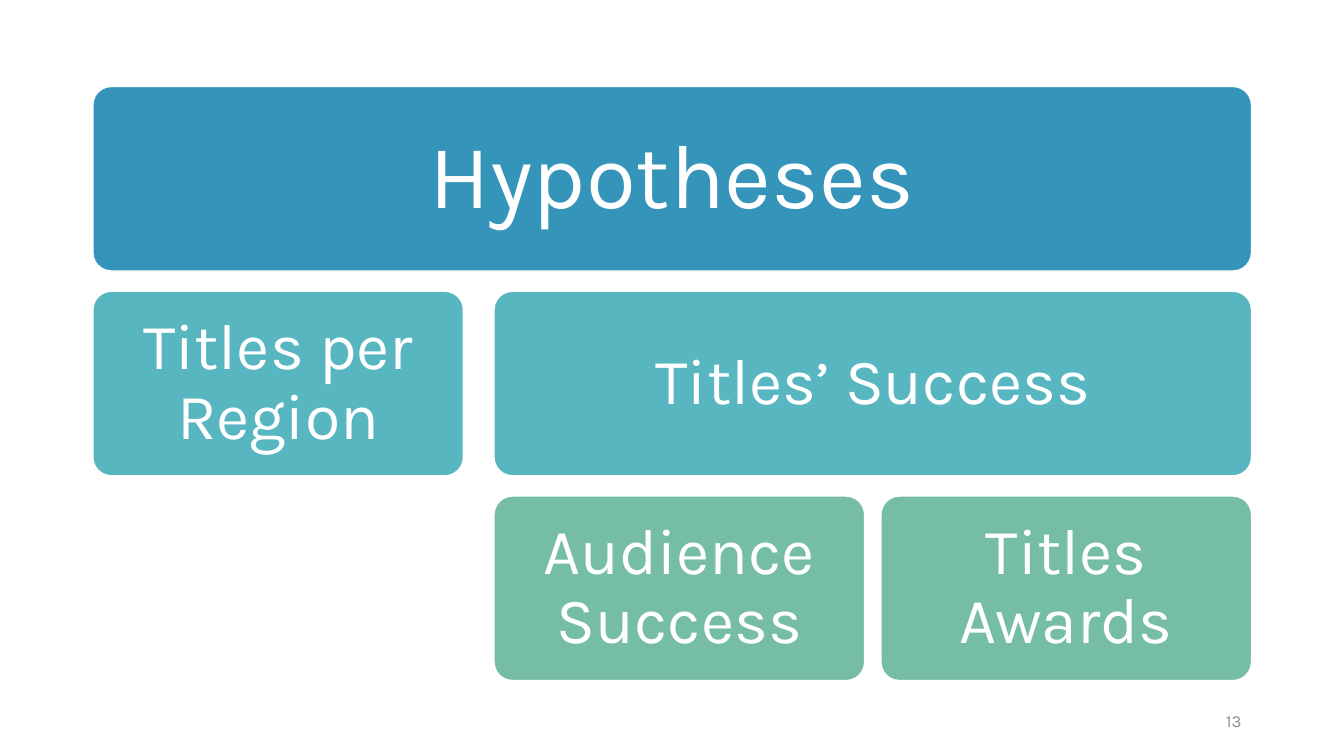
"""Builds the slide showing the hierarchy of hypotheses."""
import dataclasses

import pptx
import pptx.dml.color
import pptx.enum.shapes
import pptx.enum.text
import pptx.util

Cm = pptx.util.Cm
ALIGN = pptx.enum.text.PP_ALIGN


@dataclasses.dataclass(frozen=True)
class Theme:
    font: str = "Karla"
    white: str = "FFFFFF"
    grey: str = "8C8C8C"
    top: str = "3494BA"
    middle: str = "58B6C0"
    bottom: str = "75BDA7"
    title_size: int = 65
    box_size: int = 46
    number_size: int = 12


class Deck:
    def __init__(self, theme):
        self.theme = theme
        self.prs = pptx.Presentation()
        self.prs.slide_width, self.prs.slide_height = Cm(33.87), Cm(19.05)
        self.s = self.prs.slides.add_slide(self.prs.slide_layouts[5])

    def rgb(self, value):
        return pptx.dml.color.RGBColor.from_string(value)

    def set_text(self, sp, text, size, color, inset, align=ALIGN.CENTER, spacing=0.9):
        tf = sp.text_frame
        frame_format = {
            "word_wrap": True,
            "auto_size": pptx.enum.text.MSO_AUTO_SIZE.NONE,
            "vertical_anchor": pptx.enum.text.MSO_ANCHOR.MIDDLE,
            "margin_left": inset,
            "margin_right": inset,
            "margin_top": inset,
            "margin_bottom": inset,
        }
        for name, value in frame_format.items():
            setattr(tf, name, value)
        p = tf.paragraphs[0]
        p.alignment, p.line_spacing = align, spacing
        r = p.add_run()
        r.text = text
        font_format = {"name": self.theme.font, "size": pptx.util.Pt(size), "bold": False}
        for name, value in font_format.items():
            setattr(r.font, name, value)
        r.font.color.rgb = self.rgb(color)

    def box(self, x, y, w, h, fill, text=None):
        sp = self.s.shapes.add_shape(
            pptx.enum.shapes.MSO_SHAPE.ROUNDED_RECTANGLE, Cm(x), Cm(y), Cm(w), Cm(h))
        sp.adjustments[0] = 0.1
        sp.shadow.inherit = False
        sp.fill.solid()
        sp.fill.fore_color.rgb = self.rgb(fill)
        sp.line.color.rgb = self.rgb(self.theme.white)
        sp.line.width = pptx.util.Pt(1)
        if text:
            self.set_text(sp, text, self.theme.box_size, self.theme.white, Cm(0.48))

    def title(self, x, y, w, h, text):
        sp = self.s.shapes.title
        place = {"left": Cm(x), "top": Cm(y), "width": Cm(w), "height": Cm(h)}
        for name, value in place.items():
            setattr(sp, name, value)
        self.s.shapes._spTree.append(sp._element)
        self.set_text(sp, text, self.theme.title_size, self.theme.white, Cm(0.69))

    def number(self, x, y, w, h, text):
        sp = self.s.shapes.add_textbox(Cm(x), Cm(y), Cm(w), Cm(h))
        self.set_text(sp, text, self.theme.number_size, self.theme.grey, Cm(0.25),
                      ALIGN.RIGHT, 1.0)


def main():
    theme = Theme()
    deck = Deck(theme)
    left, top, width, height, pitch = 2.34, 2.18, 29.2, 4.65, 5.16
    column, outer_gap, inner_gap, inset = 9.34, 0.77, 0.41, 0.14
    second = left + column + outer_gap
    third = second + column + inner_gap
    pair = 2 * column + inner_gap

    deck.box(left, top, width, height, theme.top)
    deck.title(left + inset, top + inset, width - 2 * inset, height - 2 * inset, "Hypotheses")
    boxes = [
        (left, 1, column, theme.middle, "Titles per Region"),
        (second, 1, pair, theme.middle, "Titles’ Success"),
        (second, 2, column, theme.bottom, "Audience Success"),
        (third, 2, column, theme.bottom, "Titles Awards"),
    ]
    for x, row, w, fill, text in boxes:
        deck.box(x, top + row * pitch, w, height, fill, text)
    deck.number(23.92, 17.66, 7.62, 1.01, "13")
    deck.prs.save("out.pptx")


if __name__ == "__main__":
    main()
